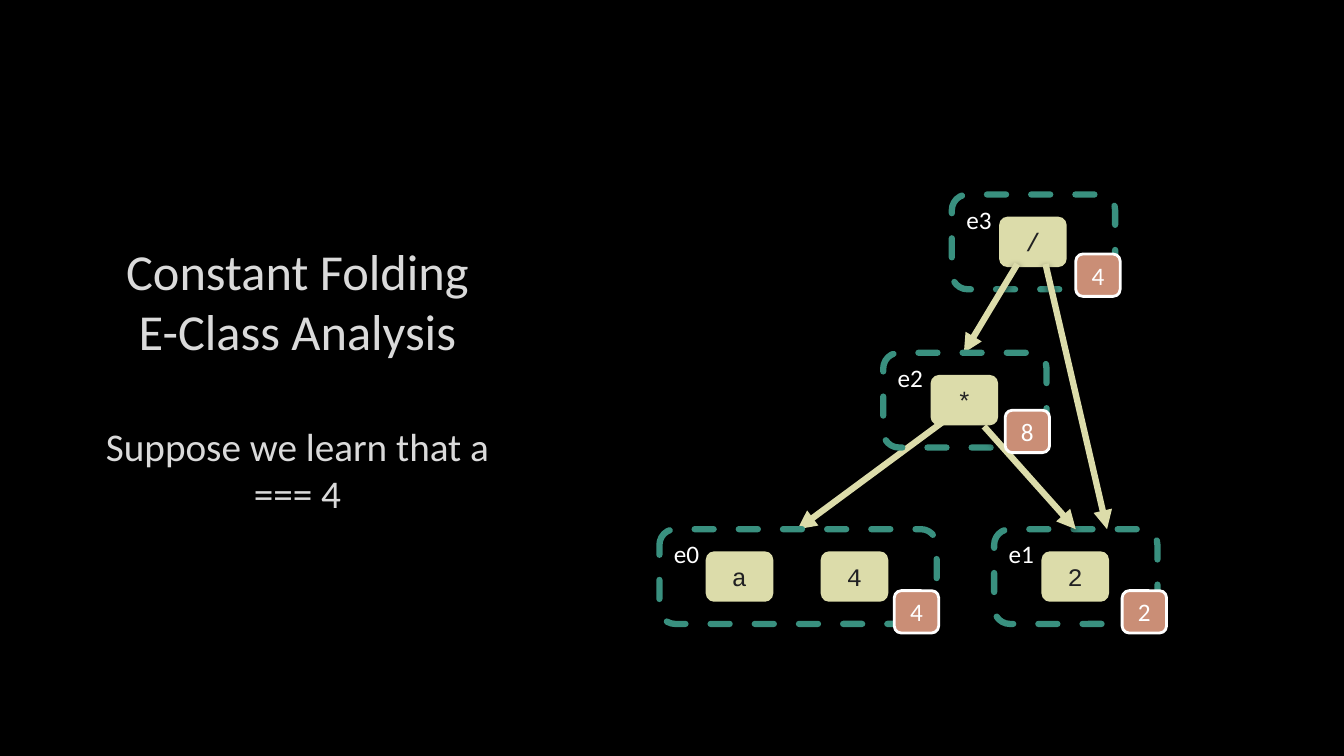
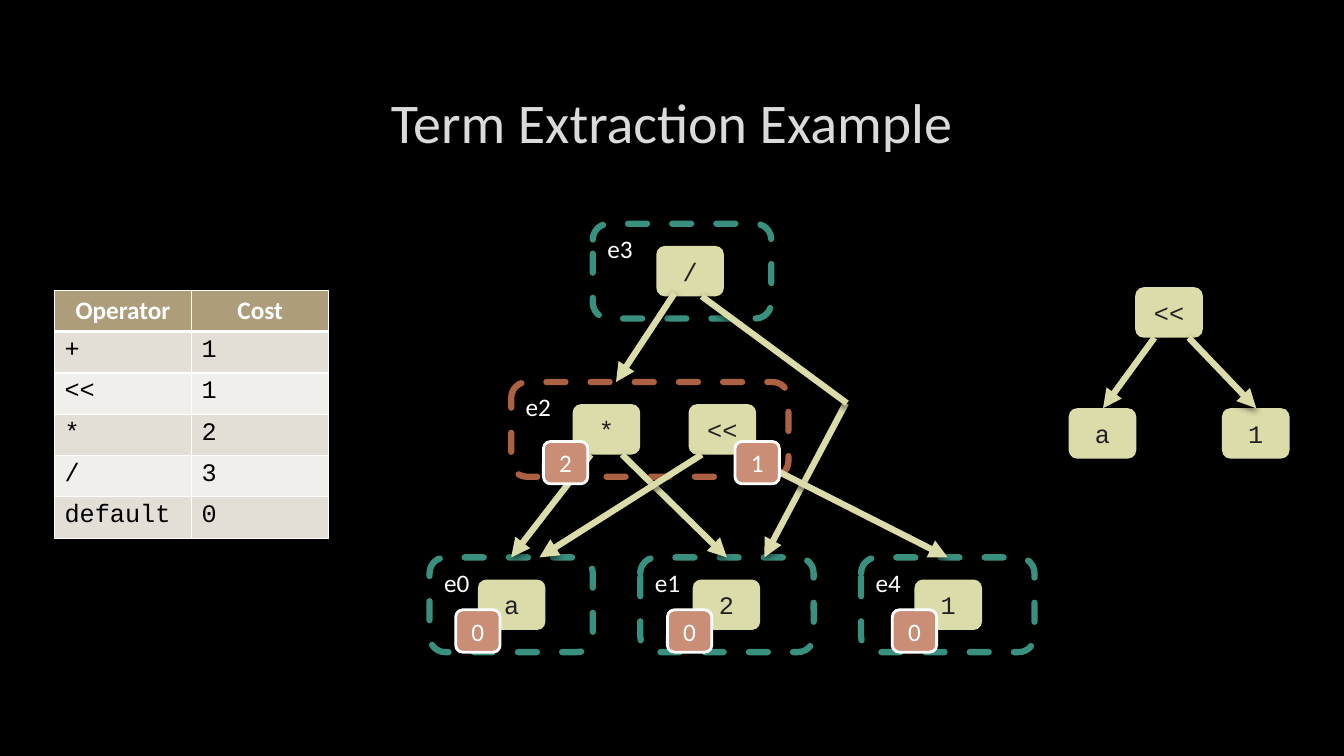
from dataclasses import dataclass

from lxml import etree
from pptx import Presentation
from pptx.dml.color import RGBColor
from pptx.enum import dml, shapes, text
from pptx.oxml import parse_xml
from pptx.oxml.ns import nsdecls, qn
from pptx.util import Inches, Pt


@dataclass(frozen=True)
class Theme:
    background: str = "000000"
    title: str = "DADADA"
    white: str = "FFFFFF"
    eclass: str = "39907F"
    highlight: str = "AD6143"
    node: str = "DCDCAA"
    node_text: str = "212123"
    badge: str = "CA8E76"
    table_head: str = "AD9D7B"
    table_bands: tuple = ("E3DFD7", "F1EFEC")
    table_text: str = "000000"
    sans: str = "Calibri"
    mono: str = "Courier New"
    title_size: int = 40
    side_title_size: int = 36
    side_note_size: int = 28
    body_size: int = 18
    stroke: float = 4.5
    badge_stroke: float = 2


THEME = Theme()
CLASS_HEIGHT = 0.94
NODE_SIZE = (0.67, 0.5)
NODE_DROP = 0.22
BADGE_SIZE = (0.44, 0.42)


def rgb(value):
    return RGBColor.from_string(value)


def set_font(paragraph, color, size=THEME.body_size, name=THEME.sans, bold=False):
    font = paragraph.font
    font.name, font.size, font.bold = name, Pt(size), bold
    font.color.rgb = rgb(color)


def add_title(slide, left, top, width, height, lines):
    """Each line is (wording, size, space before)."""
    frame = slide.shapes.add_textbox(*map(Inches, (left, top, width, height))).text_frame
    frame.word_wrap = True
    frame.vertical_anchor = text.MSO_ANCHOR.MIDDLE
    for index, (wording, size, gap) in enumerate(lines):
        paragraph = frame.add_paragraph() if index else frame.paragraphs[0]
        paragraph.text = wording
        paragraph.alignment = text.PP_ALIGN.CENTER
        if gap:
            paragraph.space_before = Pt(gap)
        set_font(paragraph, THEME.title, size)


def add_round_box(slide, position, size, wording, color, name=THEME.sans,
                  fill=None, line=None, stroke=0.0):
    box = slide.shapes.add_shape(shapes.MSO_SHAPE.ROUNDED_RECTANGLE,
                                 *map(Inches, (*position, *size)))
    box.shadow.inherit = False
    if fill:
        box.fill.solid()
        box.fill.fore_color.rgb = rgb(fill)
    else:
        box.fill.background()
    if line:
        box.line.color.rgb = rgb(line)
        box.line.width = Pt(stroke)
    else:
        box.line.fill.background()
    paragraph = box.text_frame.paragraphs[0]
    paragraph.text = wording
    set_font(paragraph, color, name=name)
    return box


def center_text(box):
    frame = box.text_frame
    frame.margin_left = frame.margin_right = frame.margin_top = frame.margin_bottom = 0
    frame.vertical_anchor = text.MSO_ANCHOR.MIDDLE
    frame.paragraphs[0].alignment = text.PP_ALIGN.CENTER


def add_node(slide, symbol, left, top):
    center_text(add_round_box(slide, (left, top), NODE_SIZE, symbol, THEME.node_text,
                              THEME.mono, fill=THEME.node))


def add_badge(slide, value, left, top):
    center_text(add_round_box(slide, (left, top), BADGE_SIZE, value, THEME.white,
                              fill=THEME.badge, line=THEME.white,
                              stroke=THEME.badge_stroke))


def add_eclass(slide, label, left, top, width, nodes, color=THEME.eclass):
    """Dashed frame holding nodes, each given as (symbol, left)."""
    frame = add_round_box(slide, (left, top), (width, CLASS_HEIGHT), label, THEME.white,
                          line=color, stroke=THEME.stroke)
    frame.line.dash_style = dml.MSO_LINE.DASH
    frame.element.spPr.find(qn("a:ln")).set("cap", "rnd")
    frame.text_frame.vertical_anchor = text.MSO_ANCHOR.TOP
    frame.text_frame.paragraphs[0].alignment = text.PP_ALIGN.LEFT
    for symbol, node_left in nodes:
        add_node(slide, symbol, node_left, top + NODE_DROP)


def add_edge(slide, x1, y1, x2, y2, arrow=True):
    edge = slide.shapes.add_connector(shapes.MSO_CONNECTOR.STRAIGHT,
                                      *map(Inches, (x1, y1, x2, y2)))
    edge.line.color.rgb = rgb(THEME.node)
    edge.line.width = Pt(THEME.stroke)
    properties = edge.element.spPr
    if arrow:
        etree.SubElement(properties.find(qn("a:ln")), qn("a:tailEnd"), type="triangle")
    properties.append(parse_xml(
        f'<a:effectLst {nsdecls("a")}><a:outerShdw blurRad="{Pt(5)}" dist="{Pt(2)}" '
        'dir="5400000" rotWithShape="0"><a:srgbClr val="000000"><a:alpha val="60000"/>'
        '</a:srgbClr></a:outerShdw></a:effectLst>'))


def set_borders(cell, widths):
    """Widths in points, for left, right, top and bottom."""
    properties = cell._tc.get_or_add_tcPr()
    for side, width in zip("LRTB", widths):
        properties.append(parse_xml(
            f'<a:ln{side} {nsdecls("a")} w="{Pt(width)}"><a:solidFill>'
            f'<a:srgbClr val="{THEME.white}"/></a:solidFill></a:ln{side}>'))


def add_cost_table(slide, left, top, column_width, row_height, rows):
    columns = len(rows[0])
    table = slide.shapes.add_table(
        len(rows), columns, Inches(left), Inches(top),
        Inches(column_width * columns), Inches(row_height * len(rows))).table
    for row_index, row in enumerate(rows):
        header = row_index == 0
        for column_index, wording in enumerate(row):
            cell = table.cell(row_index, column_index)
            set_borders(cell, (1, 1, 3 if row_index == 1 else 1, 3 if header else 1))
            cell.fill.solid()
            cell.fill.fore_color.rgb = rgb(
                THEME.table_head if header else THEME.table_bands[(row_index - 1) % 2])
            paragraph = cell.text_frame.paragraphs[0]
            paragraph.text = wording
            if header:
                paragraph.alignment = text.PP_ALIGN.CENTER
                set_font(paragraph, THEME.white, bold=True)
            else:
                set_font(paragraph, THEME.table_text, name=THEME.mono)


def build_constant_folding(slide):
    add_title(slide, 0.91, 1.22, 4.08, 5.06, [
        ("Constant Folding", THEME.side_title_size, 0),
        ("E-Class Analysis", THEME.side_title_size, 0),
        ("Suppose we learn that a === 4", THEME.side_note_size, 44),
    ])
    add_eclass(slide, "e3", 9.44, 1.93, 1.62, [("/", 9.91)])
    add_edge(slide, 10.09, 2.62, 9.56, 3.5)
    add_edge(slide, 9.44, 4.12, 7.91, 5.25)
    add_eclass(slide, "e2", 8.76, 3.5, 1.62, [("*", 9.23)])
    add_eclass(slide, "e0", 6.54, 5.25, 2.75, [("a", 7), ("4", 8.14)])
    add_eclass(slide, "e1", 9.86, 5.25, 1.62, [("2", 10.33)])
    add_edge(slide, 9.76, 4.23, 10.67, 5.25)
    add_edge(slide, 10.37, 2.62, 10.98, 5.25)
    for value, left, top in [("2", 11.13, 5.86), ("4", 8.87, 5.86),
                             ("8", 9.97, 4.07), ("4", 10.67, 2.52)]:
        add_badge(slide, value, left, top)


def build_term_extraction(slide):
    add_title(slide, 1, 0.67, 11.32, 1.06,
              [("Term Extraction Example", THEME.title_size, 0)])
    add_cost_table(slide, 0.54, 2.88, 1.36, 0.41, [
        ("Operator", "Cost"), ("+", "1"), ("<<", "1"), ("*", "2"), ("/", "3"),
        ("default", "0"),
    ])

    add_edge(slide, 11.45, 3.35, 10.94, 4.05)
    for symbol, left, top in [("<<", 11.26, 2.85), ("a", 10.6, 4.05), ("1", 12.12, 4.05)]:
        add_node(slide, symbol, left, top)
    add_edge(slide, 11.79, 3.35, 12.46, 4.05)

    add_eclass(slide, "e3", 5.88, 2.22, 1.77, [("/", 6.51)])
    add_edge(slide, 6.69, 2.91, 6.11, 3.79)
    add_eclass(slide, "e2", 5.07, 3.79, 2.75, [("*", 5.68), ("<<", 6.83)],
               THEME.highlight)
    for label, left, width, symbol, node_left in [("e0", 4.26, 1.62, "a", 4.74),
                                                  ("e1", 6.35, 1.72, "2", 6.87),
                                                  ("e4", 8.54, 1.72, "1", 9.07)]:
        add_eclass(slide, label, left, 5.53, width, [(symbol, node_left)])
    for x1, y1, x2 in [(6.17, 4.51, 7.21), (8.39, 4, 7.58), (6.96, 4.51, 5.35),
                       (7.37, 4.5, 9.4), (5.86, 4.51, 5.07)]:
        add_edge(slide, x1, y1, x2, 5.53)
    add_edge(slide, 6.96, 2.94, 8.4, 4, arrow=False)
    for value, left, top in [("2", 5.39, 4.38), ("1", 7.29, 4.38), ("0", 4.52, 6.05),
                             ("0", 6.62, 6.05), ("0", 8.85, 6.05)]:
        add_badge(slide, value, left, top)


def main():
    deck = Presentation()
    deck.slide_width, deck.slide_height = Inches(13.33), Inches(7.5)
    backdrop = deck.slide_master.background.fill
    backdrop.solid()
    backdrop.fore_color.rgb = rgb(THEME.background)
    for build in (build_constant_folding, build_term_extraction):
        build(deck.slides.add_slide(deck.slide_layouts[6]))
    deck.save("out.pptx")


if __name__ == "__main__":
    main()
